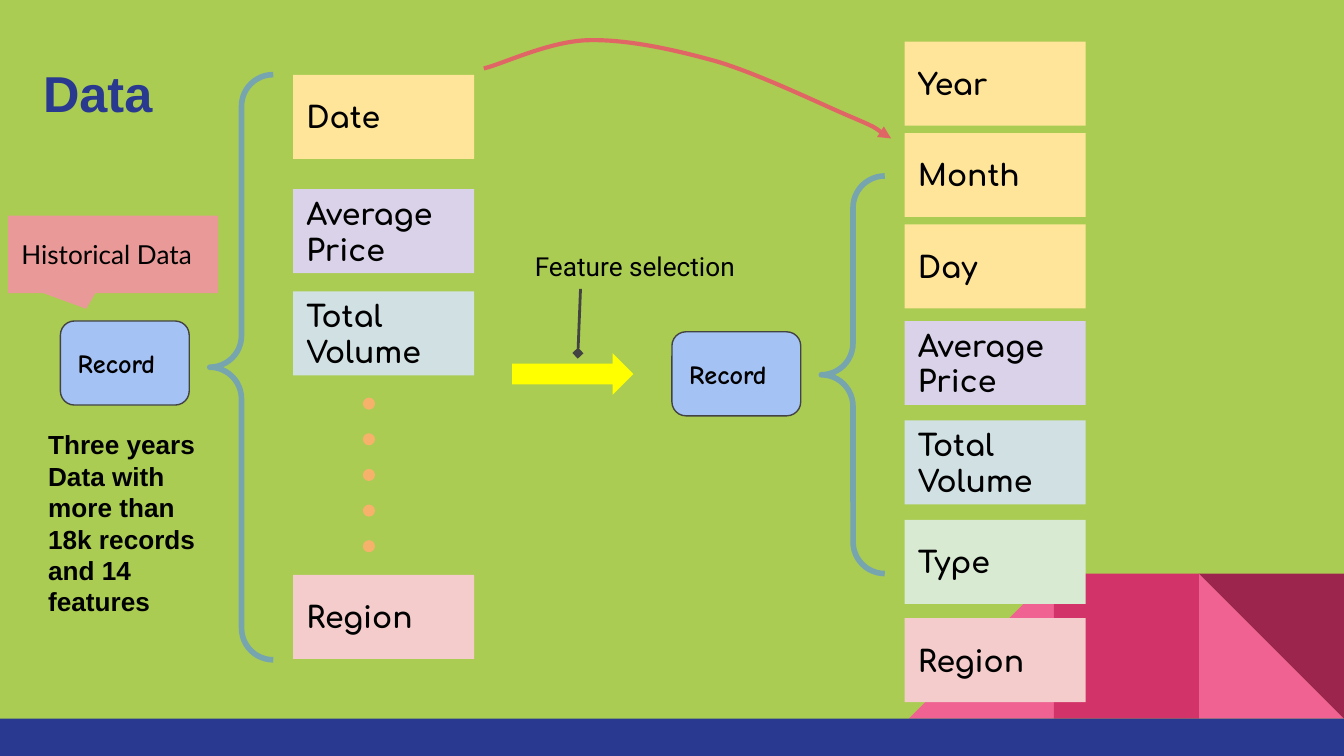
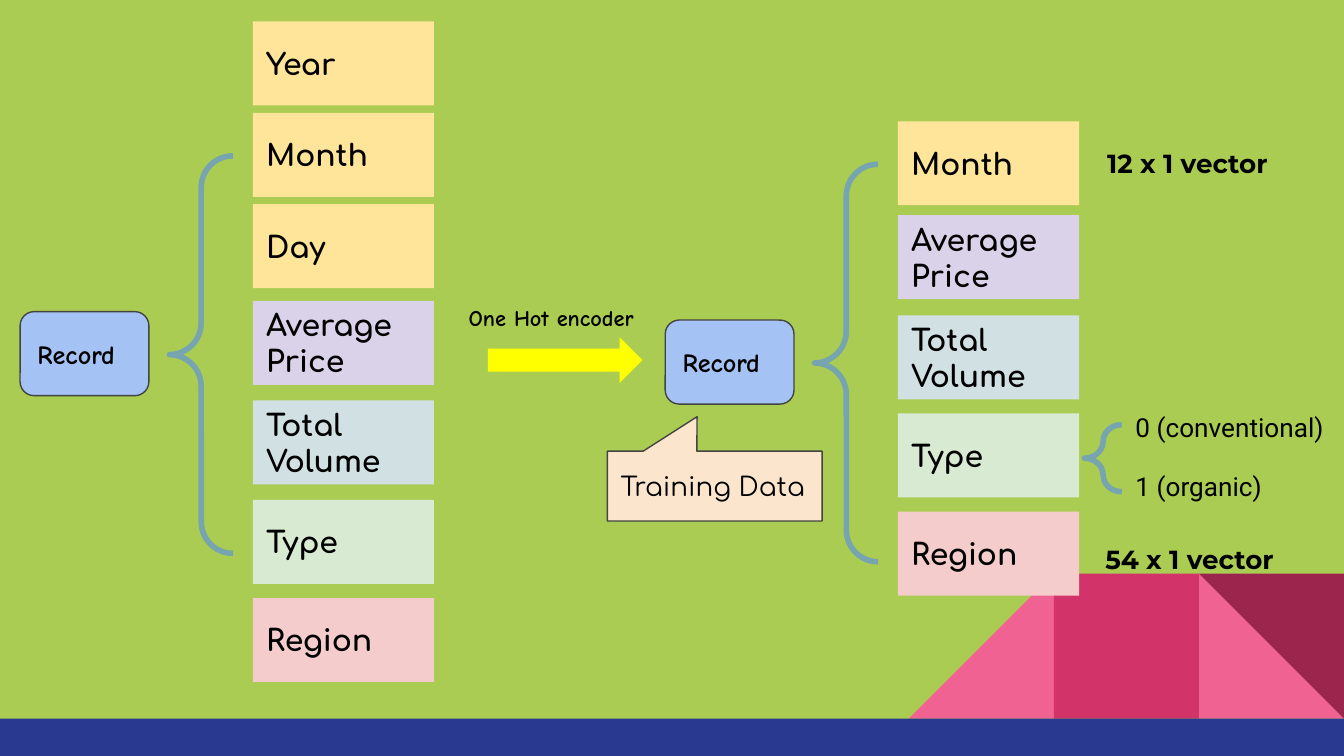
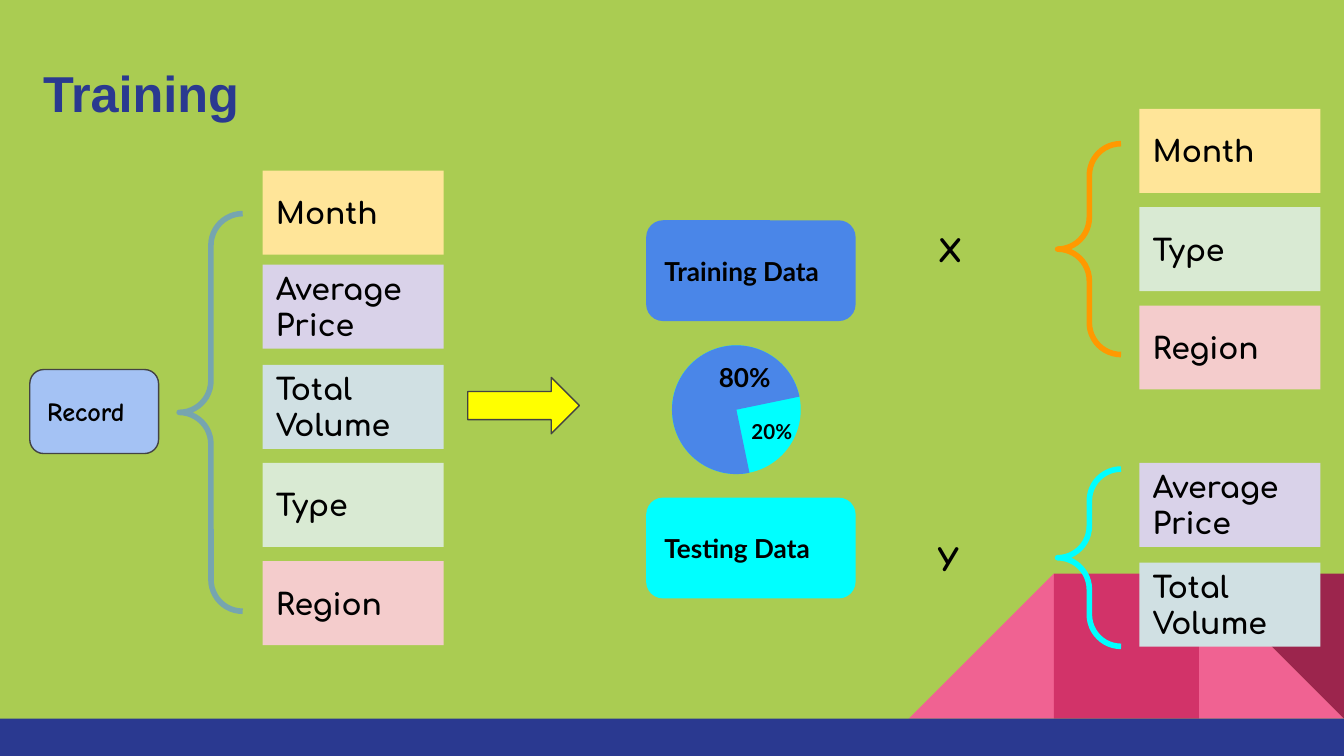
from lxml import etree
from pptx import Presentation
from pptx import util as u
from pptx.dml.color import RGBColor
from pptx.enum import shapes, text
from pptx.oxml.ns import qn

GREEN = RGBColor(0xAA, 0xCC, 0x52)
NAVY = RGBColor(0x2A, 0x39, 0x90)
PINK = RGBColor(0xF0, 0x62, 0x92)
ROSE = RGBColor(0xD2, 0x33, 0x69)
WINE = RGBColor(0x9C, 0x25, 0x4D)
BLACK = RGBColor(0x00, 0x00, 0x00)
GRAY = RGBColor(0x43, 0x43, 0x43)
SKY = RGBColor(0xA4, 0xC2, 0xF4)
TEAL = RGBColor(0x76, 0xA5, 0xAF)
BLUE = RGBColor(0x4A, 0x86, 0xE8)
CYAN = RGBColor(0x00, 0xFF, 0xFF)
ORANGE = RGBColor(0xFF, 0x99, 0x00)
PEACH = RGBColor(0xF6, 0xB2, 0x6B)
YELLOW = RGBColor(0xFF, 0xFF, 0x00)
CORAL = RGBColor(0xEA, 0x99, 0x99)
RED = RGBColor(0xE0, 0x66, 0x66)
CREAM = RGBColor(0xFC, 0xE5, 0xCD)
GOLD = RGBColor(0xFF, 0xE5, 0x99)
LILAC = RGBColor(0xD9, 0xD2, 0xE9)
MIST = RGBColor(0xD0, 0xE0, 0xE3)
BLUSH = RGBColor(0xF4, 0xCC, 0xCC)
MINT = RGBColor(0xD9, 0xEA, 0xD3)

TINTS = {"Date": GOLD, "Year": GOLD, "Month": GOLD, "Day": GOLD,
         "Average Price": LILAC, "Total Volume": MIST,
         "Type": MINT, "Region": BLUSH}
RAW = {"Date": -131.8, "Average Price": -70.6, "Total Volume": -15.8, "Region": 136}
FULL = {"Year": -155.5, "Month": -106.5, "Day": -57.6, "Average Price": -5.8,
        "Total Volume": 47.5, "Type": 100.8, "Region": 153.4}
SHORT = {"Month": -106.5, "Average Price": -56.2, "Total Volume": -2.5,
         "Type": 50, "Region": 102.6}
KIND = shapes.MSO_SHAPE


class Deck:
    def __init__(self):
        self.prs = Presentation()
        self.prs.slide_width, self.prs.slide_height = u.Pt(720), u.Pt(405)
        self.slide = None

    def page(self, title=None):
        self.slide = self.prs.slides.add_slide(self.prs.slide_layouts[6])
        fill = self.slide.background.fill
        fill.solid()
        fill.fore_color.rgb = GREEN
        top, side = 307.3, 77.7
        right = 720 - side
        self.shape(KIND.RIGHT_TRIANGLE, right, top, side, side, PINK)
        left = self.shape(KIND.RIGHT_TRIANGLE, right - 2 * side, top, side, side, PINK)
        left._element.spPr.xfrm.set("flipH", "1")
        self.shape(KIND.RECTANGLE, right - side, top, side, side, ROSE)
        self.shape(KIND.RIGHT_TRIANGLE, right, top, side, side, WINE).rotation = 180
        self.shape(KIND.RECTANGLE, 0, 385, 720, 20, NAVY)
        if title:
            self.note(title, 16, 26, 400, 45, "Arial", 27, True, NAVY)

    def shape(self, kind, x, y, w, h, fill=None, line=None, wide=0.75, adj=()):
        item = self.slide.shapes.add_shape(kind, u.Pt(x), u.Pt(y), u.Pt(w), u.Pt(h))
        for i, value in enumerate(adj):
            item.adjustments[i] = value
        self.paint(item, fill, line, wide)
        return item

    def paint(self, item, fill, line, wide):
        item.shadow.inherit = False
        if fill is None:
            item.fill.background()
        else:
            item.fill.solid()
            item.fill.fore_color.rgb = fill
        if line is None:
            item.line.fill.background()
        else:
            self.stroke(item, line, wide)

    def stroke(self, item, color, wide):
        item.line.color.rgb = color
        item.line.width = u.Pt(wide)

    def letter(self, item, words, font, size, bold, color=BLACK):
        frame = item.text_frame
        frame.text = words
        frame.word_wrap = True
        frame.margin_left = frame.margin_right = u.Pt(7.2)
        frame.margin_top = frame.margin_bottom = u.Pt(7.2)
        para = frame.paragraphs[0]
        para.alignment = text.PP_ALIGN.LEFT
        face = para.runs[0].font
        face.name, face.size, face.bold = font, u.Pt(size), bold
        face.color.rgb = color

    def label(self, item, words, font, size=14, bold=True):
        item.text_frame.vertical_anchor = text.MSO_ANCHOR.MIDDLE
        self.letter(item, words, font, size, bold)

    def note(self, words, x, y, w, h, font, size=14, bold=False, color=BLACK):
        item = self.slide.shapes.add_textbox(u.Pt(x), u.Pt(y), u.Pt(w), u.Pt(h))
        self.letter(item, words, font, size, bold, color)

    def card(self, name, x, y):
        item = self.shape(KIND.RECTANGLE, x, y, 97, 45, TINTS[name])
        self.label(item, name, "Comfortaa", 16)

    def brace(self, x, y, h, w=34, color=TEAL):
        self.shape(KIND.LEFT_BRACE, x, y, w, h, None, color, 3, (0.5, 0.5))

    def record(self, x, y, rows, rise=83.5, span=213):
        item = self.shape(KIND.ROUNDED_RECTANGLE, x, y, 69, 45, SKY, GRAY)
        self.label(item, "Record", "Comic Neue")
        self.brace(x + 80, y - rise, span)
        for name, drop in rows.items():
            self.card(name, x + 124.7, y + drop)

    def arrow(self, x, y, w, h, line=None):
        self.shape(KIND.RIGHT_ARROW, x, y, w, h, YELLOW, line)

    def tip(self, item, kind):
        line = item._element.spPr.find(qn("a:ln"))
        etree.SubElement(line, qn("a:tailEnd"), type=kind)

    def link(self, x1, y1, x2, y2, color, wide, kind):
        item = self.slide.shapes.add_connector(
            shapes.MSO_CONNECTOR.STRAIGHT, u.Pt(x1), u.Pt(y1), u.Pt(x2), u.Pt(y2))
        self.stroke(item, color, wide)
        self.tip(item, kind)
        etree.SubElement(item._element.spPr, qn("a:effectLst"))

    def curve(self, points, color, wide, kind):
        spots = [(u.Pt(x), u.Pt(y)) for x, y in points]
        form = self.slide.shapes.build_freeform(*spots[0])
        form.add_line_segments(spots[1:], close=False)
        item = form.convert_to_shape()
        self.paint(item, None, color, wide)
        self.tip(item, kind)
        steps = list(item._element.iter(qn("a:lnTo")))
        for i in range(0, len(steps), 3):
            bend = etree.Element(qn("a:cubicBezTo"))
            steps[i].addprevious(bend)
            for step in steps[i:i + 3]:
                bend.append(step[0])
                step.getparent().remove(step)


def data(deck):
    deck.page("Data")
    deck.record(32.4, 172, RAW, 132, 313.5)
    for i in range(5):
        deck.shape(KIND.OVAL, 194.4, 213 + 19.1 * i, 6.5, 6.5, PEACH)
    deck.arrow(274.3, 189.2, 65, 22.3)
    past = deck.shape(KIND.RECTANGULAR_CALLOUT, 4.3, 115.5, 112.5, 41.5, CORAL,
                      adj=(-0.128, 0.704))
    deck.label(past, "Historical Data", "Lato", bold=False)
    deck.link(311, 154.8, 309.6, 189.2, GRAY, 1.5, "diamond")
    deck.note("Feature selection", 279.4, 126.7, 145.4, 31.7, "Roboto")
    deck.curve([(259.2, 36.7), (268.6, 34.6), (293.8, 22.3), (314.6, 21.6),
                (335.5, 20.9), (361.4, 26.6), (384.5, 33.1),
                (408.2, 40.3), (442.1, 56.9), (455.8, 62.6),
                (469.4, 68.4), (463.7, 66.2), (467.3, 67.7),
                (470.9, 69.8), (475.2, 73.4), (477.4, 74.2)], RED, 2.25, "triangle")
    deck.record(360, 177.8, FULL)
    deck.note("Three years Data with more than 18k records and 14 features",
              18.7, 222.5, 96.5, 116.6, "Arial", bold=True)


def encode(deck):
    deck.page()
    deck.arrow(261.4, 180.7, 82.8, 24.5)
    deck.record(10.8, 167, FULL)
    deck.record(356.4, 171.5, SHORT)
    deck.brace(581, 227.5, 36, 20)
    deck.note("12 x 1 vector", 586, 72, 119, 31.7, "Montserrat", bold=True)
    deck.note("54 x 1 vector", 585, 283.7, 120, 31.7, "Montserrat", bold=True)
    deck.note("0 (conventional)", 601.2, 213.1, 118, 31.7, "Roboto")
    deck.note("1 (organic)", 601.2, 244.8, 118, 31.7, "Roboto")
    deck.note("One Hot encoder", 244, 155.5, 416, 28.8, "Comic Neue", 12, True)
    ready = deck.shape(KIND.ROUNDED_RECTANGULAR_CALLOUT, 325.4, 241.7, 115, 37.4,
                       CREAM, GRAY, adj=(-0.082, -0.995, 0))
    deck.label(ready, "Training Data", "Comfortaa", bold=False)


def train(deck):
    deck.page("Training")
    deck.record(16, 198, SHORT)
    deck.arrow(250.6, 202.2, 59.8, 30.2, GRAY)
    for name, y, color in (("Training Data", 118, BLUE), ("Testing Data", 266.6, CYAN)):
        item = deck.shape(KIND.ROUNDED_RECTANGLE, 346.2, y, 112.2, 54, color)
        deck.label(item, name, "Lato")
    for axis, y, top, span, color, rows in (
            ("X", 114.5, 77, 113, ORANGE, {"Month": 58.4, "Type": 111, "Region": 163.7}),
            ("Y", 280, 251.3, 95, CYAN, {"Average Price": 248, "Total Volume": 301.5})):
        for name, row in rows.items():
            deck.card(name, 610.4, row)
        deck.brace(566.6, top, span, color=color)
        deck.note(axis, 495.4, y, 61, 37.4, "Comic Neue", 19, True)
    deck.shape(KIND.OVAL, 360, 185, 69, 69, CYAN)
    deck.shape(KIND.PIE, 360, 185, 69, 69, BLUE, adj=(0, 162)).rotation = 78.3
    deck.note("80%", 378, 186.5, 92, 31.7, "Lato", bold=True)
    deck.note("20%", 395.5, 218, 92, 28, "Lato", 11, True)


def main():
    deck = Deck()
    data(deck)
    encode(deck)
    train(deck)
    deck.prs.save("out.pptx")


if __name__ == "__main__":
    main()
